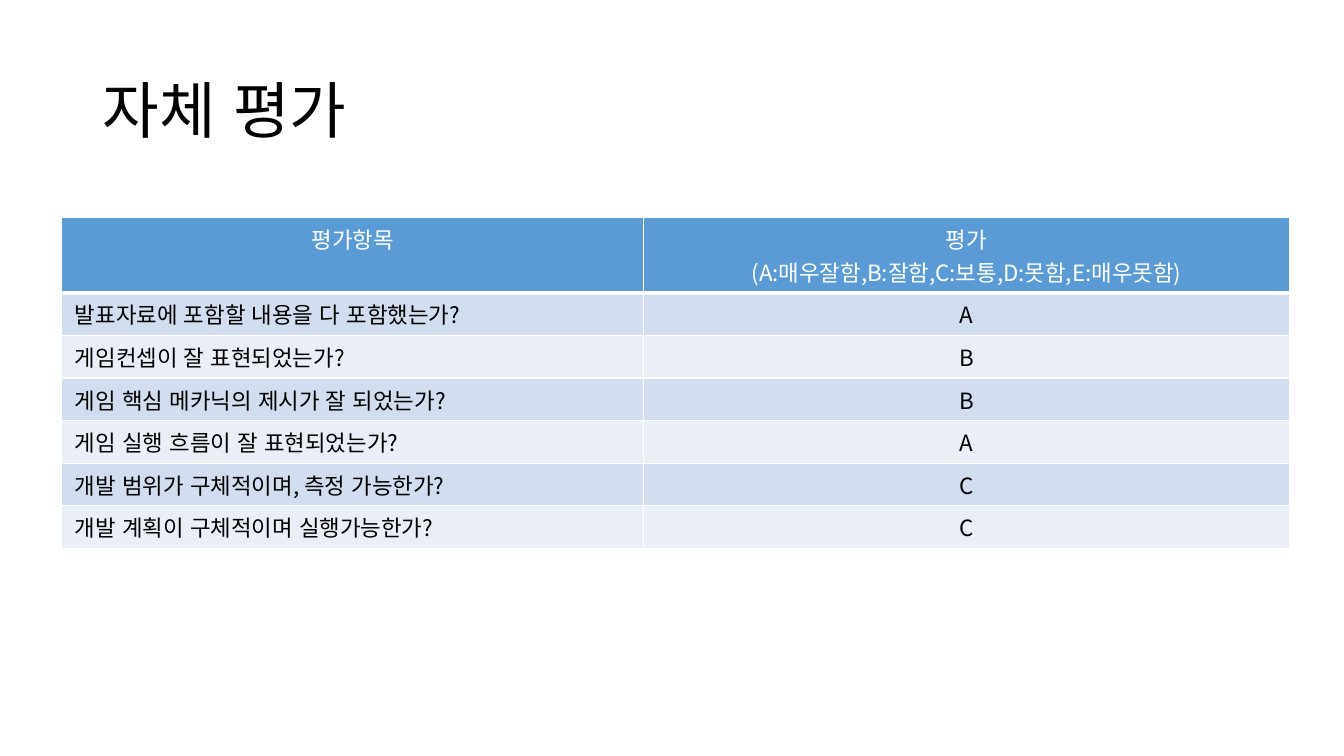
from dataclasses import dataclass

from lxml import etree
from pptx import Presentation
from pptx import util as u
from pptx.dml.color import RGBColor
from pptx.enum import lang, text
from pptx.oxml import ns

FONT = "Noto Sans CJK KR"
COLORS = {
    "black": "000000",
    "white": "FFFFFF",
    "header": "5B9BD5",
    "odd_row": "D2DEEF",
    "even_row": "EAEFF7",
}
COLUMN_WIDTHS = (14.66, 16.27)
ROW_HEIGHT = 1.04


@dataclass
class Criterion:
    question: str
    grade: str


HEADINGS = ("평가항목", "평가\n(A:매우잘함,B:잘함,C:보통,D:못함,E:매우못함)")
CRITERIA = [
    Criterion("발표자료에 포함할 내용을 다 포함했는가?", "A"),
    Criterion("게임컨셉이 잘 표현되었는가?", "B"),
    Criterion("게임 핵심 메카닉의 제시가 잘 되었는가?", "B"),
    Criterion("게임 실행 흐름이 잘 표현되었는가?", "A"),
    Criterion("개발 범위가 구체적이며, 측정 가능한가?", "C"),
    Criterion("개발 계획이 구체적이며 실행가능한가?", "C"),
]


def write_text(frame, content: str, size: int, color: str, alignment) -> None:
    for index, line in enumerate(content.split("\n")):
        paragraph = frame.add_paragraph() if index else frame.paragraphs[0]
        paragraph.alignment = alignment
        run = paragraph.add_run()
        run.text = line
        run.font.size = u.Pt(size)
        run.font.bold = False
        run.font.name = FONT
        run.font.language_id = lang.MSO_LANGUAGE_ID.KOREAN
        run.font.color.rgb = RGBColor.from_string(COLORS[color])
        east_asian = etree.SubElement(run.font._element, ns.qn("a:ea"))
        east_asian.set("typeface", FONT)
        run.font._element.find(ns.qn("a:latin")).addnext(east_asian)


def set_borders(cell, widths: dict[str, int]) -> None:
    properties = cell._tc.get_or_add_tcPr()
    for index, (side, width) in enumerate(widths.items()):
        line = etree.Element(ns.qn(f"a:ln{side}"), w=str(u.Pt(width)))
        fill = etree.SubElement(line, ns.qn("a:solidFill"))
        etree.SubElement(fill, ns.qn("a:srgbClr"), val=COLORS["white"])
        properties.insert(index, line)


def fill_cell(cell, content: str, background: str, color: str, alignment) -> None:
    cell.margin_left = cell.margin_right = u.Cm(0.33)
    cell.margin_top = cell.margin_bottom = u.Cm(0.13)
    cell.fill.solid()
    cell.fill.fore_color.rgb = RGBColor.from_string(COLORS[background])
    write_text(cell.text_frame, content, 16, color, alignment)


def add_title(slide) -> None:
    title = slide.shapes.title
    title.left, title.top = u.Cm(2.33), u.Cm(1.01)
    title.width, title.height = u.Cm(29.21), u.Cm(3.68)
    frame = title.text_frame
    frame.auto_size = text.MSO_AUTO_SIZE.NONE
    frame.vertical_anchor = text.MSO_ANCHOR.MIDDLE
    write_text(frame, "자체 평가", 44, "black", text.PP_ALIGN.LEFT)
    frame.paragraphs[0].line_spacing = 0.9


def add_evaluation_table(slide) -> None:
    row_count = len(CRITERIA) + 1
    table = slide.shapes.add_table(
        row_count, len(COLUMN_WIDTHS), u.Cm(1.56), u.Cm(5.49),
        u.Cm(sum(COLUMN_WIDTHS)), u.Cm(ROW_HEIGHT * row_count),
    ).table
    for column, width in zip(table.columns, COLUMN_WIDTHS):
        column.width = u.Cm(width)
    for row in table.rows:
        row.height = u.Cm(ROW_HEIGHT)

    center, left = text.PP_ALIGN.CENTER, text.PP_ALIGN.LEFT
    for column, heading in enumerate(HEADINGS):
        fill_cell(table.cell(0, column), heading, "header", "white", center)
    for row, criterion in enumerate(CRITERIA, start=1):
        background = "odd_row" if row % 2 else "even_row"
        fill_cell(table.cell(row, 0), criterion.question, background, "black", left)
        fill_cell(table.cell(row, 1), criterion.grade, background, "black", center)
    for row in range(row_count):
        for column in range(len(COLUMN_WIDTHS)):
            widths = {"L": 1, "R": 1, "T": 3 if row == 1 else 1, "B": 1 if row else 3}
            set_borders(table.cell(row, column), widths)


def main() -> None:
    presentation = Presentation()
    presentation.slide_width = u.Cm(33.87)
    presentation.slide_height = u.Cm(19.05)
    slide = presentation.slides.add_slide(presentation.slide_layouts[5])
    add_title(slide)
    add_evaluation_table(slide)
    presentation.save("out.pptx")


if __name__ == "__main__":
    main()
